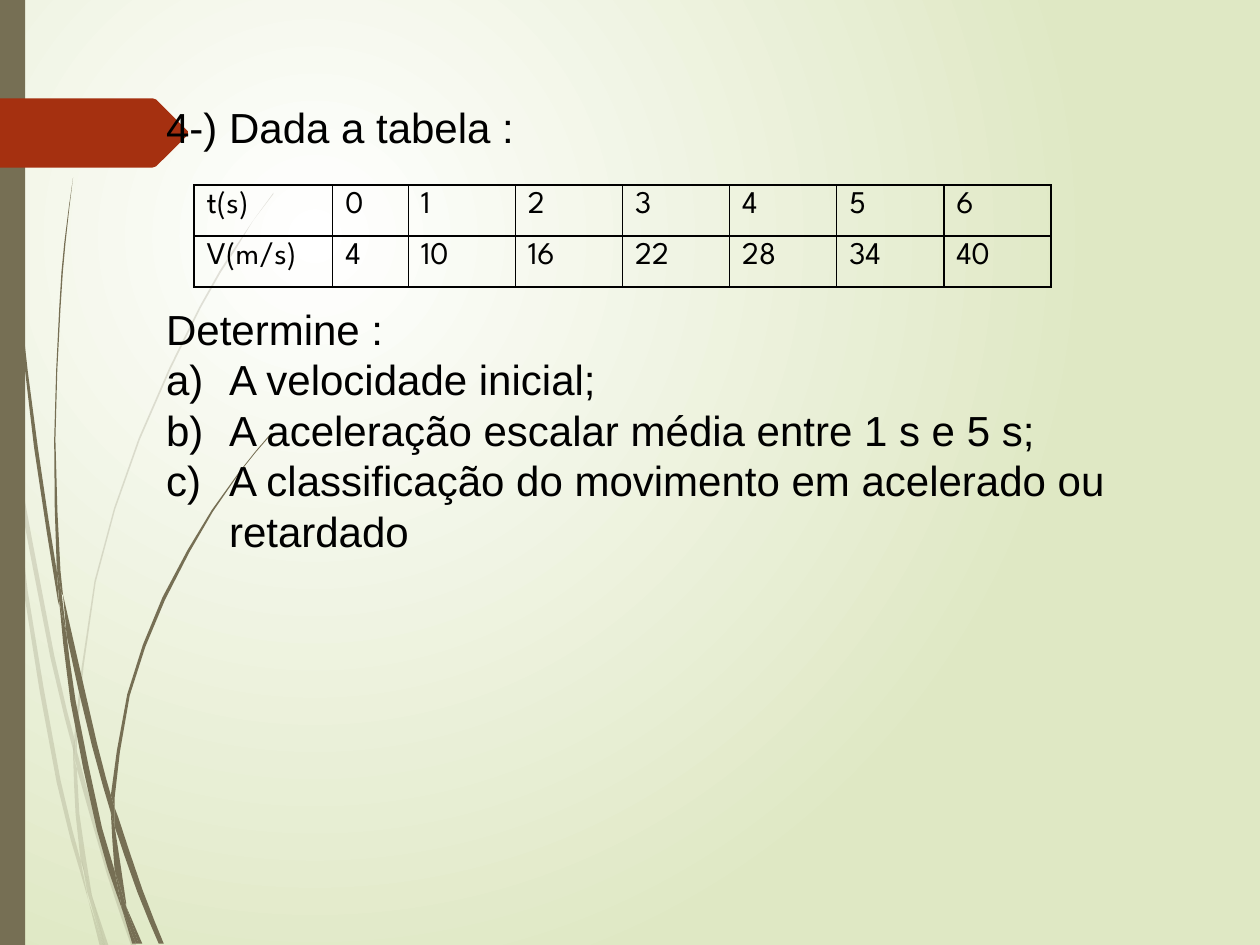
import pptx
import pptx.dml.color
import pptx.enum.shapes
import pptx.oxml
import pptx.oxml.ns
import pptx.util
from pptx.util import Inches

# ---- Content ----
HEADING = "4-) Dada a tabela :"
PROMPT = "Determine :"
QUESTIONS = [
    "A velocidade inicial;",
    "A aceleração escalar média entre 1 s e 5 s;",
    "A classificação do movimento em acelerado ou retardado",
]
MEASUREMENTS = [
    ["t(s)", "0", "1", "2", "3", "4", "5", "6"],
    ["V(m/s)", "4", "10", "16", "22", "28", "34", "40"],
]
COLUMN_WIDTHS = [1.1, 0.6] + [0.85] * 6
TABLE_HEIGHT = 0.81

THEME = {
    "stem": "766F54", "banner": "A53010", "ink": "000000",
    "glow": "FFFFFF", "ground": "DFE8C4",
    "body_font": "Arial", "body_size": 24, "prompt_gap": 86.4,
    "table_font": "League Spartan", "table_size": 18, "border": 1,
    "pale_alpha": 20,
}

# Grass blades: the two edges of each piece, walked one after the other
PALE_BLADES = [
    ([(0.08, 3.5), (0.06, 3.22), (0, 2.82)], [(0, 2.99), (0.07, 3.44)]),
    ([(0.1, 3.45), (0.43, 5.2), (0.59, 5.86)],
     [(0.59, 5.99), (0.4, 5.22), (0.12, 3.76)]),
    ([(0.61, 5.96), (0.64, 6.07), (0.88, 6.92), (1.08, 7.5)],
     [(1.04, 7.5), (0.85, 6.94), (0.61, 6.1)]),
    ([(0.73, 7.11), (0.86, 7.5)], [(0.83, 7.5)]),
    ([(0.12, 3.76), (0.22, 4.69), (0.48, 6.19), (0.64, 6.83), (0.7, 7.14)],
     [(0.64, 6.93), (0.45, 6.21), (0.19, 4.7), (0.08, 3.5)]),
    ([(0.58, 5.99), (0.61, 6.1), (0.63, 6.46), (0.73, 7.11)],
     [(0.67, 6.92), (0.64, 6.83), (0.6, 6.46), (0.58, 5.99)]),
    ([(0.61, 5.96), (0.61, 5.84), (0.76, 4.62), (1.11, 3.49), (1.59, 2.45),
      (1.87, 1.98), (2.01, 1.75), (2.17, 1.54)],
     [(2.17, 1.53), (2.01, 1.75), (1.86, 1.97), (1.58, 2.44), (1.1, 3.48),
      (0.75, 4.61), (0.59, 5.84)]),
    ([(0.7, 7.14), (0.82, 7.5)], [(0.79, 7.5)]),
    ([(0.61, 6.1), (0.61, 5.96), (0.59, 5.86)], [(0.58, 5.99), (0.61, 6.08)]),
    ([(0.65, 6.83), (0.69, 7.07), (0.82, 7.5)],
     [(0.83, 7.5), (0.73, 7.11), (0.67, 6.92)]),
]
DARK_BLADES = [
    ([(0.02, 0), (0.03, 0.48), (0.05, 1.1), (0.14, 2.33), (0.27, 3.55),
      (0.46, 4.77), (0.47, 4.81)],
     [(0.45, 4.53), (0.3, 3.55), (0.15, 2.32), (0.06, 1.09), (0.04, 0.48),
      (0.03, 0)]),
    ([(0.5, 4.72), (0.53, 5.05), (0.73, 5.92), (0.88, 6.45)],
     [(0.88, 6.31), (0.77, 5.9), (0.5, 4.72)]),
    ([(0.91, 6.41), (0.94, 6.49), (1.13, 7.06), (1.3, 7.49)],
     [(1.26, 7.49), (1.09, 7.08), (0.91, 6.56)]),
    ([(0.47, 4.77), (0.56, 5.57), (0.77, 6.59), (0.92, 7.08), (0.97, 7.22)],
     [(0.91, 6.91), (0.81, 6.57), (0.6, 5.56), (0.53, 5.05), (0.47, 4.77)]),
    ([(0.5, 4.72), (0.48, 4.53), (0.44, 3.49), (0.48, 2.45), (0.52, 1.93),
      (0.58, 1.41)],
     [(0.58, 1.41), (0.51, 1.93), (0.47, 2.45), (0.43, 3.49), (0.45, 4.49),
      (0.49, 4.72)]),
    ([(1, 7.19), (1.13, 7.49)], [(1.1, 7.49)]),
    ([(0.45, 4.49), (0.49, 4.72), (0.53, 5.05)], [(0.47, 4.77), (0.45, 4.53)]),
    ([(0.91, 6.41), (0.91, 6.33), (1.03, 5.52), (1.31, 4.76), (1.69, 4.06),
      (1.91, 3.74), (2.03, 3.59), (2.16, 3.44)],
     [(2.15, 3.44), (2.03, 3.58), (1.91, 3.73), (1.68, 4.05), (1.29, 4.74),
      (1.01, 5.51), (0.88, 6.31)]),
    ([(0.97, 7.22), (1.08, 7.49)], [(1.05, 7.49)]),
    ([(0.88, 6.45), (0.91, 6.56), (1, 7.16), (1, 7.19)],
     [(0.96, 7.06), (0.91, 6.91), (0.88, 6.45)]),
    ([(0.88, 6.31), (0.91, 6.41), (0.91, 6.56)], [(0.88, 6.45)]),
    ([(0.91, 6.91), (0.97, 7.22), (1.08, 7.49)],
     [(1.1, 7.49), (1, 7.19), (0.96, 7.06)]),
]
BANNER = [(0, 0.78), (1.21, 0.78), (1.24, 0.79), (1.49, 1.04), (1.49, 1.07),
          (1.24, 1.32), (1.21, 1.33), (0, 1.33)]


def rgb(name):
    return pptx.dml.color.RGBColor.from_string(THEME[name])


def add_xml(parent, tag, **attributes):
    child = pptx.oxml.parse_xml(f"<a:{tag} {pptx.oxml.ns.nsdecls('a')}/>")
    for key, value in attributes.items():
        child.set(key, str(value))
    parent.append(child)
    return child


def smooth(edge):
    """Points of one edge, with a Catmull-Rom midpoint in each long span."""
    padded = [edge[0], *edge, edge[-1]]
    curve = [edge[0]]
    for a, b, c, d in zip(padded, padded[1:], padded[2:], padded[3:]):
        if abs(c[1] - b[1]) > 0.4 and len(edge) > 2:
            curve.append(tuple((9 * (q + r) - p - s) / 16
                               for p, q, r, s in zip(a, b, c, d)))
        curve.append(c)
    return curve


def paint(shape, color, alpha=None):
    shape.shadow.inherit = False
    shape.fill.solid()
    shape.fill.fore_color.rgb = rgb(color)
    shape.line.fill.background()
    if alpha:
        fill = shape._element.spPr.find(pptx.oxml.ns.qn("a:solidFill"))
        add_xml(fill[0], "alpha", val=alpha * 1000)


def add_outline(slide, points, color, alpha=None):
    # Freeform coordinates are whole numbers, so count in thousandths of an inch
    points = [(round(x * 1000), round(y * 1000)) for x, y in points]
    builder = slide.shapes.build_freeform(*points[0], scale=Inches(1) / 1000)
    builder.add_line_segments(points[1:], close=True)
    paint(builder.convert_to_shape(), color, alpha)


def add_run(paragraph, text, kind):
    run = paragraph.add_run()
    run.text = text
    run.font.name = THEME[f"{kind}_font"]
    run.font.size = pptx.util.Pt(THEME[f"{kind}_size"])
    run.font.color.rgb = rgb("ink")


def add_background(slide):
    fill = slide.background.fill
    fill.gradient()
    for position, (stop, color) in enumerate(zip(fill.gradient_stops, ("glow", "ground"))):
        stop.color.rgb = rgb(color)
        stop.position = position
    gradient = slide._element.find(".//" + pptx.oxml.ns.qn("a:gradFill"))
    gradient.remove(gradient.find(pptx.oxml.ns.qn("a:lin")))
    circle = add_xml(gradient, "path", path="circle")
    add_xml(circle, "fillToRect", l=50000, t=50000, r=100000, b=100000)


def add_exercise(slide):
    box = slide.shapes.add_textbox(Inches(1.22), Inches(0.76), Inches(7.87), Inches(4.14))
    frame = box.text_frame
    frame.word_wrap = True
    for i, text in enumerate([HEADING, PROMPT, *QUESTIONS]):
        paragraph = frame.add_paragraph() if i else frame.paragraphs[0]
        if text == PROMPT:  # room for the table
            paragraph.space_before = pptx.util.Pt(THEME["prompt_gap"])
        add_run(paragraph, text, "body")
        if text in QUESTIONS:
            properties = paragraph._p.get_or_add_pPr()
            properties.set("marL", str(Inches(0.5)))
            properties.set("indent", str(Inches(-0.5)))
            add_xml(properties, "buFont", typeface=THEME["body_font"])
            add_xml(properties, "buAutoNum", type="alphaLcParenR")


def add_measurements(slide):
    table = slide.shapes.add_table(
        len(MEASUREMENTS), len(COLUMN_WIDTHS), Inches(1.54), Inches(1.47),
        Inches(sum(COLUMN_WIDTHS)), Inches(TABLE_HEIGHT)).table
    table.first_row = table.horz_banding = False
    for column, width in zip(table.columns, COLUMN_WIDTHS):
        column.width = Inches(width)
    for row, values in zip(table.rows, MEASUREMENTS):
        for cell, value in zip(row.cells, values):
            add_run(cell.text_frame.paragraphs[0], value, "table")
            properties = cell._tc.get_or_add_tcPr()
            for side in ("lnL", "lnR", "lnT", "lnB"):
                border = add_xml(properties, side, w=pptx.util.Pt(THEME["border"]))
                add_xml(add_xml(border, "solidFill"), "srgbClr", val=THEME["ink"])
            cell.fill.background()


def main():
    deck = pptx.Presentation()
    deck.slide_width, deck.slide_height = Inches(10), Inches(7.5)
    slide = deck.slides.add_slide(deck.slide_layouts[6])
    add_background(slide)

    # Grass, side bar and banner
    for blades, alpha in ((PALE_BLADES, THEME["pale_alpha"]), (DARK_BLADES, None)):
        for first_edge, second_edge in blades:
            add_outline(slide, smooth(first_edge) + smooth(second_edge), "stem", alpha)
    side_bar = slide.shapes.add_shape(
        pptx.enum.shapes.MSO_SHAPE.RECTANGLE, 0, 0, Inches(0.2), deck.slide_height)
    paint(side_bar, "stem")
    add_outline(slide, BANNER, "banner")

    add_exercise(slide)
    add_measurements(slide)
    deck.save("out.pptx")


if __name__ == "__main__":
    main()
